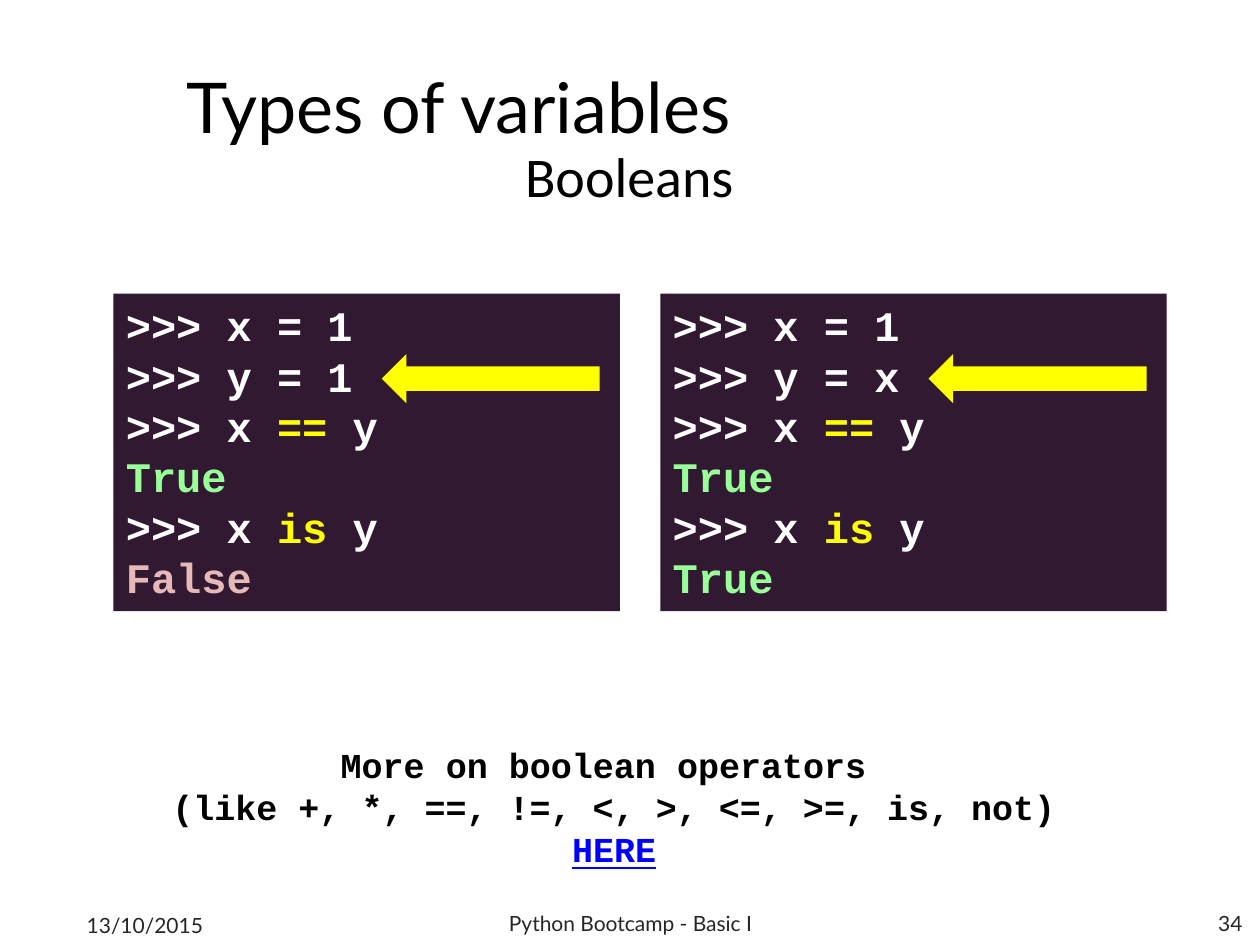
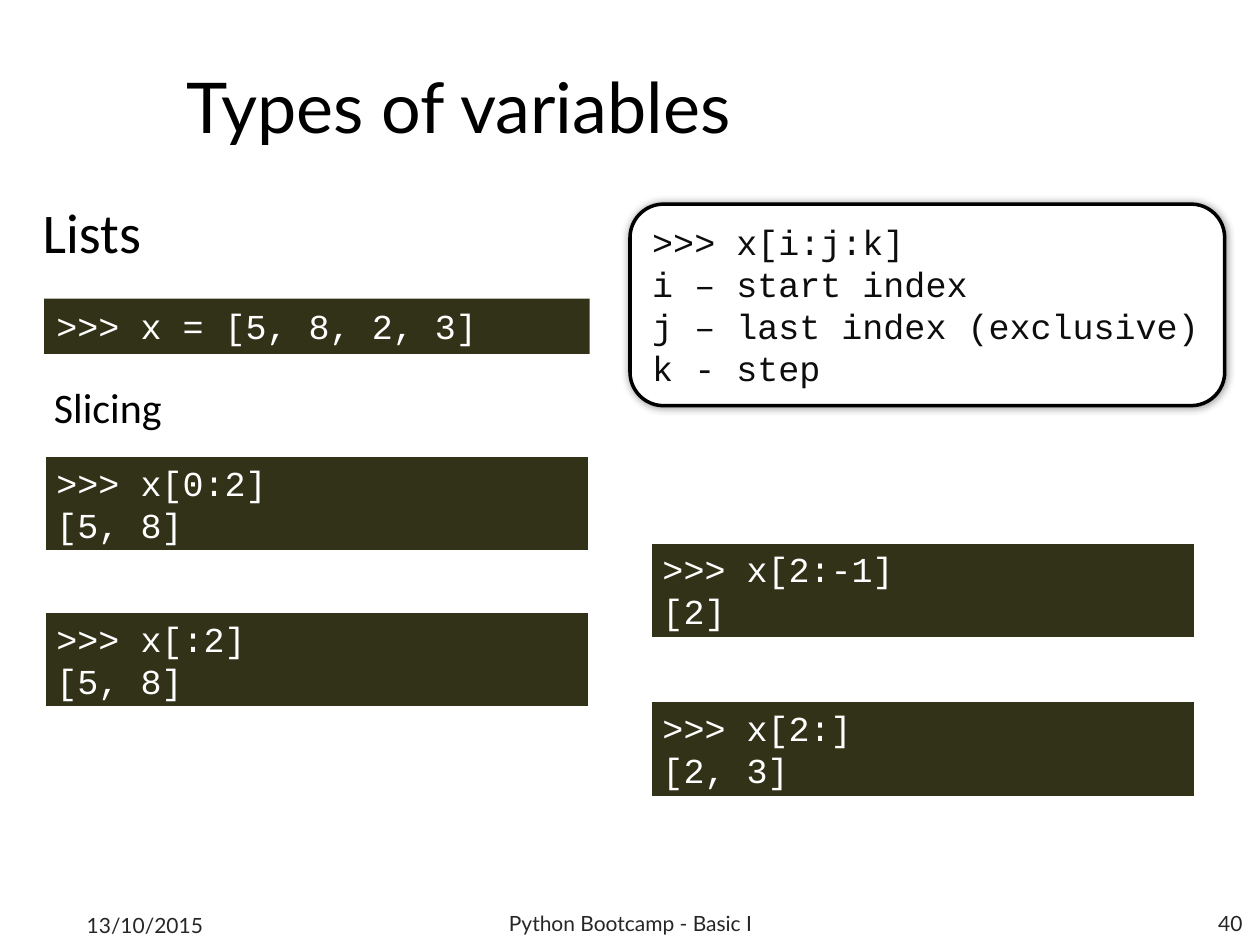
"""Build two lesson slides on Python booleans and lists."""
from dataclasses import dataclass

from lxml import etree
from pptx import Presentation
from pptx import util as u
from pptx.dml.color import RGBColor
from pptx.enum import shapes, text
from pptx.oxml.ns import qn


@dataclass(frozen=True)
class Theme:
    """Colours, fonts and type sizes of the deck."""
    black: str = "000000"
    white: str = "FFFFFF"
    ink: str = "0D0D0D"
    footer: str = "262626"
    plum: str = "321932"
    olive: str = "323219"
    yellow: str = "FFFF00"
    true: str = "99FF99"
    false: str = "E6B9B8"
    link: str = "0000FF"
    display: str = "Lato"
    label: str = "Calibri"
    mono: str = "Courier New"
    title_size: int = 40
    head_size: int = 32
    code_size: int = 24
    small_size: int = 20
    footer_size: int = 12


T = Theme()
LEFT, CENTER, RIGHT = text.PP_ALIGN.LEFT, text.PP_ALIGN.CENTER, text.PP_ALIGN.RIGHT
TOP, MIDDLE = text.MSO_ANCHOR.TOP, text.MSO_ANCHOR.MIDDLE
RECT = shapes.MSO_SHAPE.RECTANGLE


@dataclass(frozen=True)
class Box:
    """A rectangle in inches."""
    left: float
    top: float
    width: float
    height: float

    def lengths(self) -> tuple:
        """Return the four sides as lengths."""
        return tuple(map(u.Inches, (self.left, self.top, self.width, self.height)))


@dataclass(frozen=True)
class Style:
    """Type style of a text block."""
    font: str
    size: int
    color: str = T.black
    bold: bool = False
    align: int = LEFT
    anchor: int = TOP


@dataclass(frozen=True)
class Run:
    """A stretch of text in its own colour."""
    text: str
    color: str
    underline: bool = False


@dataclass(frozen=True)
class Panel:
    """A filled shape holding code."""
    box: Box
    lines: tuple
    style: Style
    fill: str
    line: str | None = None
    kind: int = RECT


TITLE = Style(T.display, T.title_size, anchor=MIDDLE)
HEAD = Style(T.label, T.head_size)
HEAD_CENTER = Style(T.label, T.head_size, align=CENTER)
SUBHEAD = Style(T.label, T.code_size)
CODE = Style(T.mono, T.code_size, T.white, bold=True)
SMALL_CODE = Style(T.mono, T.small_size, T.white)
SYNTAX = Style(T.mono, T.small_size, T.ink)
NOTE = Style(T.mono, T.small_size, bold=True, align=CENTER)


def apply(obj, values: dict) -> None:
    """Set each attribute named in values."""
    for name, value in values.items():
        setattr(obj, name, value)


def write(tf, lines: tuple, style: Style) -> None:
    """Fill a text frame, one paragraph for each line."""
    apply(tf, {"word_wrap": True, "auto_size": text.MSO_AUTO_SIZE.NONE,
               "vertical_anchor": style.anchor})
    for i, line in enumerate(lines):
        p = tf.paragraphs[0] if i == 0 else tf.add_paragraph()
        p.alignment = style.align
        for part in (Run(line, style.color),) if isinstance(line, str) else line:
            r = p.add_run()
            r.text = part.text
            apply(r.font, {"name": style.font, "size": u.Pt(style.size),
                           "bold": style.bold, "underline": part.underline})
            r.font.color.rgb = RGBColor.from_string(part.color)


def add_text(s, box: Box, lines: tuple, style: Style) -> None:
    """Add a text box."""
    write(s.shapes.add_textbox(*box.lengths()).text_frame, lines, style)


def add_shape(s, kind: int, box: Box, fill: str, line: str | None = None):
    """Add a flat shape with an optional outline."""
    sp = s.shapes.add_shape(kind, *box.lengths())
    sp.shadow.inherit = False
    sp.fill.solid()
    sp.fill.fore_color.rgb = RGBColor.from_string(fill)
    if line:
        sp.line.color.rgb = RGBColor.from_string(line)
        sp.line.width = u.Pt(2)
    else:
        sp.line.fill.background()
    return sp


def add_panel(s, panel: Panel):
    """Add a code panel."""
    sp = add_shape(s, panel.kind, panel.box, panel.fill, panel.line)
    write(sp.text_frame, panel.lines, panel.style)
    return sp


def add_glow_shadow(sp) -> None:
    """Give a shape a soft shadow on all sides."""
    effects = sp._element.spPr.find(qn("a:effectLst"))
    shadow = etree.SubElement(effects, qn("a:outerShdw"), blurRad=str(u.Pt(5)),
                              dist="0", dir="0", algn="ctr", rotWithShape="0")
    color = etree.SubElement(shadow, qn("a:srgbClr"), val=T.black)
    etree.SubElement(color, qn("a:alpha"), val="40000")


def add_slide(prs, number: int):
    """Add a slide with the shared title and footers."""
    s = prs.slides.add_slide(prs.slide_layouts[5])
    title = s.shapes.title
    apply(title, dict(zip(("left", "top", "width", "height"),
                          Box(1.38, 0.44, 8.12, 0.79).lengths())))
    write(title.text_frame, ("Types of variables",), TITLE)
    for box, words, align in (
            (Box(0.59, 7.14, 2.33, 0.4), "13/10/2015", LEFT),
            (Box(3.42, 7.13, 3.17, 0.4), "Python Bootcamp - Basic I", CENTER),
            (Box(7.63, 7.13, 2.33, 0.4), str(number), RIGHT)):
        add_text(s, box, (words,), Style(T.display, T.footer_size, T.footer,
                                         align=align, anchor=MIDDLE))
    return s


def comparison(operator: str) -> tuple:
    """Return a prompt line with its operator highlighted."""
    return (Run(">>> x ", T.white), Run(operator, T.yellow), Run(" y", T.white))


def build_booleans(prs) -> None:
    """Build the slide comparing equality and identity."""
    s = add_slide(prs, 34)
    add_text(s, Box(0.27, 1.07, 9.45, 0.79), ("Booleans",), HEAD_CENTER)
    true, false = (Run("True", T.true),), (Run("False", T.false),)
    for left, value, identity in ((0.9, "1", false), (5.24, "x", true)):
        lines = (">>> x = 1", f">>> y = {value}", comparison("=="), true,
                 comparison("is"), identity)
        add_panel(s, Panel(Box(left, 2.33, 4.02, 2.52), lines, CODE, T.plum))
        add_shape(s, shapes.MSO_SHAPE.LEFT_ARROW,
                  Box(left + 2.13, 2.81, 1.73, 0.39), T.yellow)
    add_text(s, Box(0.9, 5.85, 7.95, 1.11),
             ("More on boolean operators ",
              "(like +, *, ==, !=, <, >, <=, >=, is, not)",
              (Run("HERE", T.link, underline=True),)), NOTE)


def build_lists(prs) -> None:
    """Build the slide on list slicing."""
    s = add_slide(prs, 40)
    add_text(s, Box(0.24, 1.52, 2.44, 0.5), ("Lists",), HEAD)
    add_text(s, Box(0.33, 2.98, 5.07, 0.5), ("Slicing",), SUBHEAD)
    add_panel(s, Panel(Box(0.35, 2.37, 4.33, 0.44), (">>> x = [5, 8, 2, 3]",),
                       SMALL_CODE, T.olive))
    for left, top, index, result in ((0.35, 3.61, "0:2", "[5, 8]"),
                                     (0.35, 4.85, ":2", "[5, 8]"),
                                     (5.16, 4.3, "2:-1", "[2]"),
                                     (5.16, 5.56, "2:", "[2, 3]")):
        add_panel(s, Panel(Box(left, top, 4.33, 0.77), (f">>> x[{index}]", result),
                           SMALL_CODE, T.olive, T.white))
    syntax = (">>> x[i:j:k]", "i – start index", "j – last index (exclusive)",
              "k - step")
    add_glow_shadow(add_panel(s, Panel(Box(5, 1.62, 4.72, 1.6), syntax, SYNTAX, T.white,
                                       T.black, shapes.MSO_SHAPE.ROUNDED_RECTANGLE)))


def main() -> None:
    """Build and save the deck."""
    prs = Presentation()
    apply(prs, {"slide_width": u.Inches(10), "slide_height": u.Inches(7.5)})
    build_booleans(prs)
    build_lists(prs)
    prs.save("out.pptx")


main()
